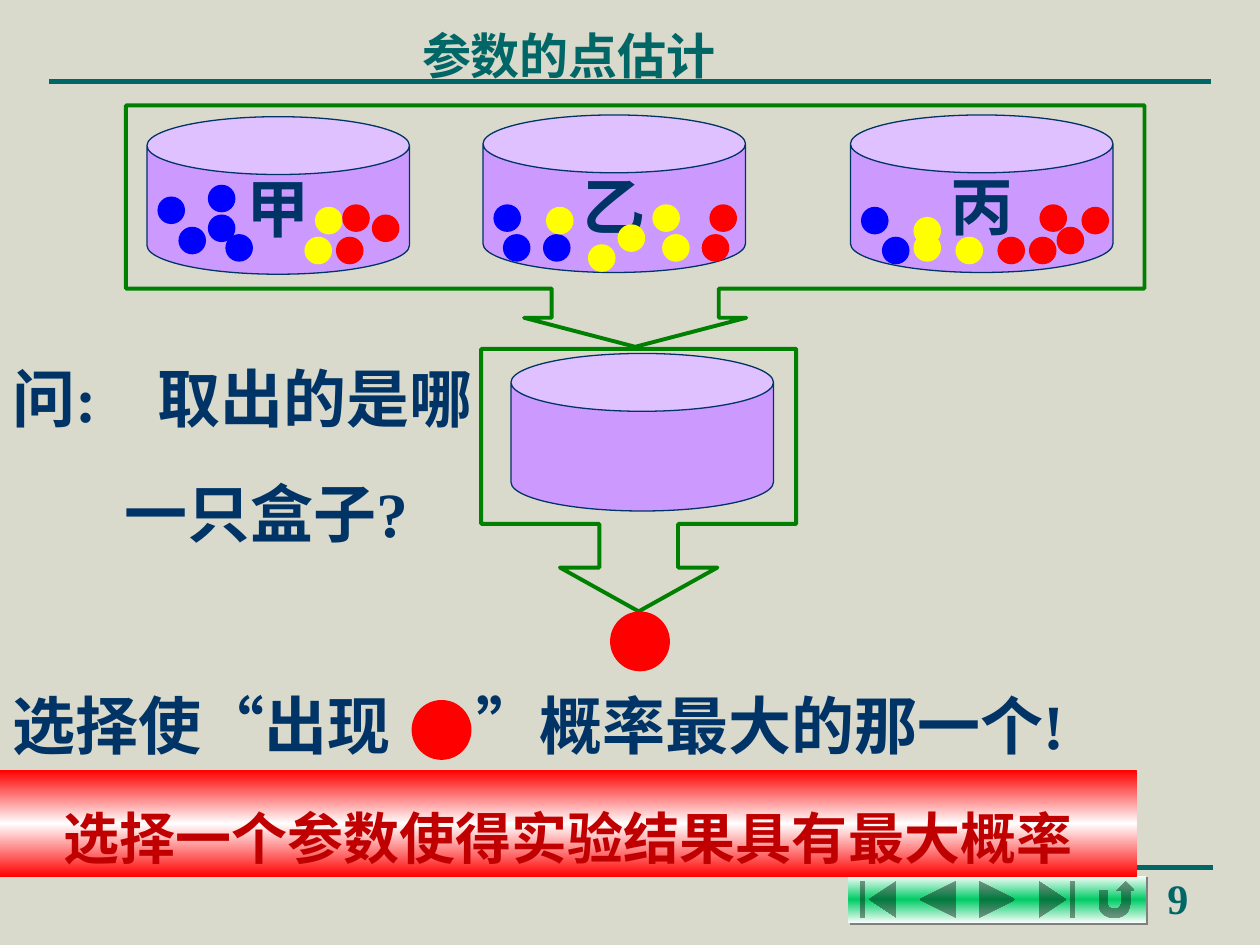
"""Builds the slide on point estimation: three boxes of balls and the likeliest choice."""
from dataclasses import dataclass
from typing import NamedTuple, Optional

from lxml import etree
from pptx import Presentation
from pptx import util as u
from pptx.dml.color import RGBColor
from pptx.enum import shapes as s, text as t
from pptx.oxml import ns


@dataclass(frozen=True)
class Theme:
    """Colours, font and type sizes of the slide."""
    ground: str = "DADACC"
    teal: str = "006666"
    navy: str = "003366"
    can: str = "CC99FF"
    frame: str = "008000"
    blue: str = "0000FF"
    yellow: str = "FFFF00"
    red: str = "FF0000"
    crimson: str = "C00000"
    button: str = "00CC66"
    white: str = "FFFFFF"
    shade: str = "808080"
    font: str = "Times New Roman"
    number: int = 24
    title: int = 28
    banner: int = 32
    body: int = 36


class Frame(NamedTuple):
    """Left, top, width and height in points."""
    x: float
    y: float
    w: float
    h: float


class Line(NamedTuple):
    """One paragraph with its left margin and tab stop in points."""
    words: str
    margin: float = 0
    tab: float = 0


@dataclass(frozen=True)
class Box:
    """A labelled can with the positions of its balls by colour."""
    label: str
    x: float
    y: float
    balls: dict


THEME = Theme()
MSO = s.MSO_SHAPE
CAN_SIZE = (150, 90)
BALL = 15.75
BIG_BALL = 34.2

BOXES = [
    Box("甲", 84, 66.7, {
        THEME.blue: [(90, 112.3), (102, 129.6), (118.8, 105.6), (118.8, 122.6), (128.8, 133.8)],
        THEME.yellow: [(174, 135.3), (180, 118.2)],
        THEME.red: [(192, 135.3), (212.5, 122.6), (195.6, 116.8)]}),
    Box("乙", 276, 65.7, {
        THEME.blue: [(287.4, 133.8), (310.3, 133.8), (282, 116.8)],
        THEME.yellow: [(312, 118.2), (336, 139.6), (352.9, 128.2), (372.8, 116.8), (378.4, 133.8)],
        THEME.red: [(401, 133.8), (405.4, 116.8)]}),
    Box("丙", 486, 65.7, {
        THEME.blue: [(492, 118.2), (504, 135.3)],
        THEME.yellow: [(522, 133.8), (522, 124), (546, 135.3)],
        THEME.red: [(570, 135.3), (588, 135.3), (594, 116.8), (603.8, 129.6), (618, 118.2)]}),
]
BUTTONS = [MSO.ACTION_BUTTON_BEGINNING, MSO.ACTION_BUTTON_BACK_OR_PREVIOUS,
           MSO.ACTION_BUTTON_FORWARD_OR_NEXT, MSO.ACTION_BUTTON_END, MSO.ACTION_BUTTON_RETURN]


def add_form(slide, kind, frame: Frame, fill: Optional[str] = None,
             outline: Optional[str] = None, weight: float = 0.75, adjust=()):
    """Draw a preset shape without shadow."""
    form = slide.shapes.add_shape(kind, *map(u.Pt, frame))
    form.shadow.inherit = False
    if fill:
        form.fill.solid()
        form.fill.fore_color.rgb = RGBColor.from_string(fill)
    else:
        form.fill.background()
    if outline:
        form.line.color.rgb = RGBColor.from_string(outline)
        form.line.width = u.Pt(weight)
    else:
        form.line.fill.background()
    for index, value in enumerate(adjust):
        form.adjustments[index] = value
    return form


def add_child(parent, tag: str, **attributes):
    """Append a DrawingML element."""
    return etree.SubElement(parent, ns.qn(tag), attributes)


def fill_band(form, edge: str, middle: str) -> None:
    """Fill a shape with a vertical edge-middle-edge gradient."""
    form.fill.gradient()
    form.fill.gradient_angle = 270
    stops = form.fill._fill._gradFill.find(ns.qn("a:gsLst"))
    for stop in list(stops):
        stops.remove(stop)
    for position, color in ((0, edge), (50000, middle), (100000, edge)):
        add_child(add_child(stops, "a:gs", pos=str(position)), "a:srgbClr", val=color)


def write(form, lines: list[Line], size: int, color: str, align=t.PP_ALIGN.LEFT,
          spacing: float = 1, gap: float = 0, wrap: bool = True,
          anchor=t.MSO_ANCHOR.TOP, top: float = 3.6, bottom: float = 3.6) -> None:
    """Write bold paragraphs into a shape."""
    body = form.text_frame
    body.word_wrap = wrap
    body.vertical_anchor = anchor
    body.margin_top, body.margin_bottom = u.Pt(top), u.Pt(bottom)
    for index, line in enumerate(lines):
        paragraph = body.add_paragraph() if index else body.paragraphs[0]
        paragraph.text = line.words
        paragraph.alignment = align
        paragraph.line_spacing = spacing
        if index:
            paragraph.space_before = u.Pt(gap)
        properties = paragraph._p.get_or_add_pPr()
        if line.margin:
            properties.set("marL", str(u.Pt(line.margin)))
        if line.tab:
            add_child(add_child(properties, "a:tabLst"), "a:tab",
                      pos=str(u.Pt(line.tab)), algn="l")
        paragraph.font.name = THEME.font
        paragraph.font.size = u.Pt(size)
        paragraph.font.bold = True
        paragraph.font.color.rgb = RGBColor.from_string(color)


def add_words(slide, frame: Frame, lines: list[Line], size: int, color: str, **layout) -> None:
    """Place a text box."""
    write(slide.shapes.add_textbox(*map(u.Pt, frame)), lines, size, color, **layout)


def add_rule(slide, y: float, right: float) -> None:
    """Draw a horizontal rule across the slide."""
    rule = slide.shapes.add_connector(s.MSO_CONNECTOR.STRAIGHT, *map(u.Pt, (28, y, right, y)))
    rule.line.color.rgb = RGBColor.from_string(THEME.teal)
    rule.line.width = u.Pt(3)
    add_child(rule._element.spPr, "a:effectLst")


def add_ball(slide, x: float, y: float, color: str, size: float = BALL) -> None:
    """Draw one ball."""
    add_form(slide, MSO.OVAL, Frame(x, y, size, size), color)


def add_can(slide, x: float, y: float):
    """Draw one can."""
    return add_form(slide, MSO.CAN, Frame(x, y, *CAN_SIZE), THEME.can, THEME.navy, adjust=[0.367])


def add_box(slide, box: Box) -> None:
    """Draw a labelled can and its balls."""
    write(add_can(slide, box.x, box.y), [Line(box.label)], THEME.body, THEME.navy,
          align=t.PP_ALIGN.CENTER, wrap=False, anchor=t.MSO_ANCHOR.MIDDLE, top=0)
    for color, places in box.balls.items():
        for x, y in places:
            add_ball(slide, x, y, color)


def add_button(slide, kind, x: float) -> None:
    """Draw one navigation button with a small shadow."""
    button = add_form(slide, kind, Frame(x, 500.3, 34.1, 27.4))
    fill_band(button, THEME.white, THEME.button)
    effects = button._element.spPr.find(ns.qn("a:effectLst"))
    shadow = add_child(effects, "a:outerShdw", dist=str(u.Pt(1.4)), dir="2700000")
    add_child(shadow, "a:srgbClr", val=THEME.shade)


def main() -> None:
    """Build and save the slide."""
    deck = Presentation()
    deck.slide_width, deck.slide_height = u.Pt(720), u.Pt(540)
    slide = deck.slides.add_slide(deck.slide_layouts[6])
    slide.background.fill.solid()
    slide.background.fill.fore_color.rgb = RGBColor.from_string(THEME.ground)

    add_rule(slide, 46.6, 692)
    add_rule(slide, 495.8, 693)
    for index, kind in enumerate(BUTTONS):
        add_button(slide, kind, 484.8 + 34.05 * index)
    add_words(slide, Frame(660, 495, 57, 36), [Line("9")], THEME.number, THEME.teal)
    add_words(slide, Frame(82, 4.5, 486, 44.6), [Line("参数的点估计")], THEME.title, THEME.teal,
              align=t.PP_ALIGN.CENTER, spacing=1.2, bottom=0.7)

    for box in BOXES:
        add_box(slide, box)
    add_form(slide, MSO.DOWN_ARROW_CALLOUT, Frame(72, 60.2, 582, 138), None, THEME.frame, 2.25,
             [0.692, 0.46, 0.12, 0.759])
    add_can(slide, 292, 202)
    add_form(slide, MSO.DOWN_ARROW_CALLOUT, Frame(275, 199.4, 180, 150), None, THEME.frame, 2.25,
             [0.3, 0.3, 0.167, 0.667])
    add_ball(slide, 348.6, 349.4, THEME.red, BIG_BALL)

    add_words(slide, Frame(0, 202, 438, 117),
              [Line("问:\t取出的是哪", tab=83), Line("一只盒子?", margin=64)],
              THEME.body, THEME.navy, gap=22.5)
    add_words(slide, Frame(0, 389, 636, 93.6),
              [Line("选择使“出现\t”概率最大的那一个!", tab=265)], THEME.body, THEME.navy)
    add_ball(slide, 235.2, 400, THEME.red, BIG_BALL)

    banner = add_form(slide, MSO.RECTANGLE, Frame(0, 440, 649.6, 61.2))
    fill_band(banner, THEME.red, THEME.white)
    write(banner, [Line("选择一个参数使得实验结果具有最大概率")], THEME.banner, THEME.crimson,
          align=t.PP_ALIGN.CENTER, spacing=1.4)
    deck.save("out.pptx")


if __name__ == "__main__":
    main()
